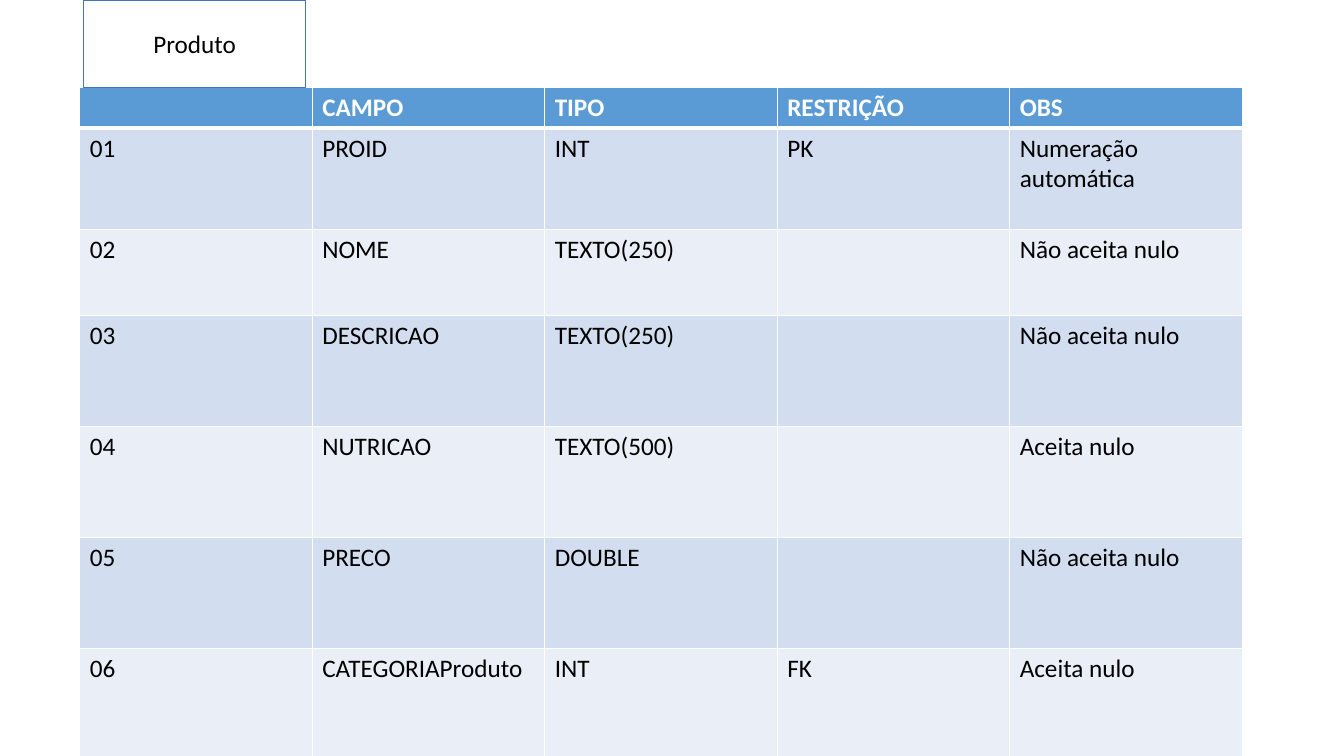
from dataclasses import dataclass

import pptx
import pptx.dml.color
import pptx.enum.shapes
import pptx.enum.text
import pptx.oxml
import pptx.oxml.ns
import pptx.util
from lxml import etree

RGBColor = pptx.dml.color.RGBColor
WHITE = RGBColor(0xFF, 0xFF, 0xFF)
BLACK = RGBColor(0, 0, 0)
HEADER_BLUE = RGBColor(0x5B, 0x9B, 0xD5)
BAND_DARK = RGBColor(0xD2, 0xDE, 0xEF)
BAND_LIGHT = RGBColor(0xEA, 0xEF, 0xF7)
OUTLINE_BLUE = RGBColor(0x44, 0x72, 0xC4)

SLIDE_W = pptx.util.Inches(13.33)
SLIDE_H = pptx.util.Inches(7.5)
FONT = "Calibri"
FONT_SIZE = pptx.util.Pt(18)

TABLE_LEFT, TABLE_TOP = 5.93, 11.53
COLUMN_SHARE = 17.3
HEADER_SHARE = 5.33


@dataclass(frozen=True)
class Field:
    name: str
    kind: str
    restriction: str
    note: str
    height: float = 14.67


HEADINGS = ["", "CAMPO", "TIPO", "RESTRIÇÃO", "OBS"]
FIELDS = [
    Field("PROID", "INT", "PK", "Numeração automática", 13.47),
    Field("NOME", "TEXTO(250)", "", "Não aceita nulo", 11.33),
    Field("DESCRICAO", "TEXTO(250)", "", "Não aceita nulo"),
    Field("NUTRICAO", "TEXTO(500)", "", "Aceita nulo"),
    Field("PRECO", "DOUBLE", "", "Não aceita nulo"),
    Field("CATEGORIAProduto", "INT", "FK", "Aceita nulo"),
]


def across(share: float) -> int:
    return round(SLIDE_W * share / 100)


def down(share: float) -> int:
    return round(SLIDE_H * share / 100)


def format_text(tf, color: RGBColor, bold: bool = False) -> None:
    for p in tf.paragraphs:
        for r in p.runs:
            r.font.name = FONT
            r.font.size = FONT_SIZE
            r.font.bold = bold
            r.font.color.rgb = color


def set_borders(cell, top: float, bottom: float) -> None:
    tc_pr = cell._tc.get_or_add_tcPr()
    widths = {"lnL": 1, "lnR": 1, "lnT": top, "lnB": bottom}
    for i, (tag, width) in enumerate(widths.items()):
        ln = pptx.oxml.parse_xml(
            f'<a:{tag} {pptx.oxml.ns.nsdecls("a")} w="{pptx.util.Pt(width)}">'
            f'<a:solidFill><a:srgbClr val="{WHITE}"/></a:solidFill></a:{tag}>'
        )
        tc_pr.insert(i, ln)


def fill_row(table, row: int, texts: list[str], height: float) -> None:
    is_header = row == 0
    table.rows[row].height = down(height)
    band = HEADER_BLUE if is_header else (BAND_DARK if row % 2 else BAND_LIGHT)
    for cell, text in zip(table.rows[row].cells, texts):
        cell.fill.solid()
        cell.fill.fore_color.rgb = band
        set_borders(cell, 3 if row == 1 else 1, 3 if is_header else 1)
        cell.text_frame.text = text
        format_text(cell.text_frame, WHITE if is_header else BLACK, is_header)


def add_fields_table(s) -> None:
    height = HEADER_SHARE + sum(field.height for field in FIELDS)
    table = s.shapes.add_table(
        len(FIELDS) + 1, len(HEADINGS),
        across(TABLE_LEFT), down(TABLE_TOP),
        across(COLUMN_SHARE * len(HEADINGS)), down(height),
    ).table
    for column in table.columns:
        column.width = across(COLUMN_SHARE)
    fill_row(table, 0, HEADINGS, HEADER_SHARE)
    for row, field in enumerate(FIELDS, start=1):
        texts = [f"{row:02}", field.name, field.kind, field.restriction, field.note]
        fill_row(table, row, texts, field.height)


def add_entity_name(s, name: str) -> None:
    sp = s.shapes.add_shape(
        pptx.enum.shapes.MSO_SHAPE.RECTANGLE,
        across(6.23), 0, across(16.5), down(11.6),
    )
    sp.shadow.inherit = False
    sp.fill.solid()
    sp.fill.fore_color.rgb = WHITE
    sp.line.color.rgb = OUTLINE_BLUE
    sp.line.width = pptx.util.Pt(1)
    tf = sp.text_frame
    tf.text = name
    tf.vertical_anchor = pptx.enum.text.MSO_ANCHOR.MIDDLE
    tf.paragraphs[0].alignment = pptx.enum.text.PP_ALIGN.CENTER
    format_text(tf, BLACK)


prs = pptx.Presentation()
prs.slide_width, prs.slide_height = SLIDE_W, SLIDE_H
s = prs.slides.add_slide(prs.slide_layouts[6])
add_fields_table(s)
add_entity_name(s, "Produto")
prs.save("out.pptx")
